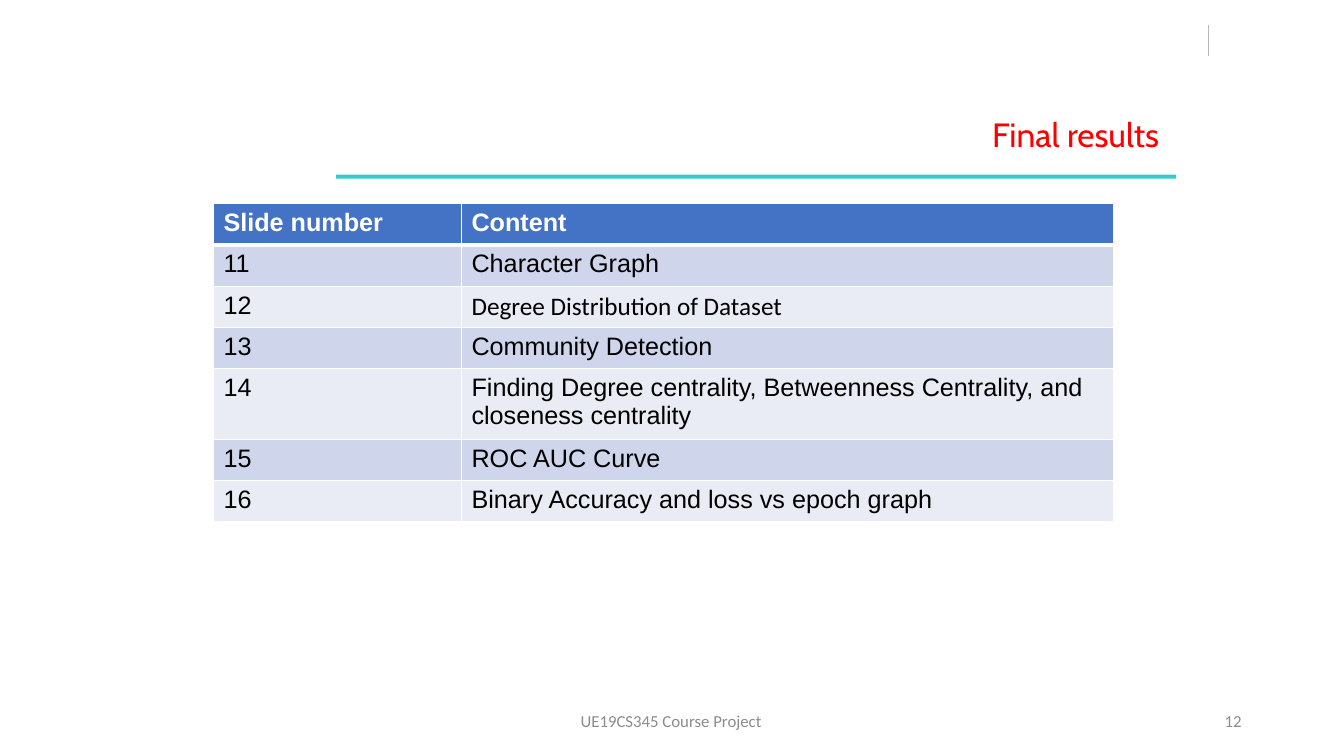
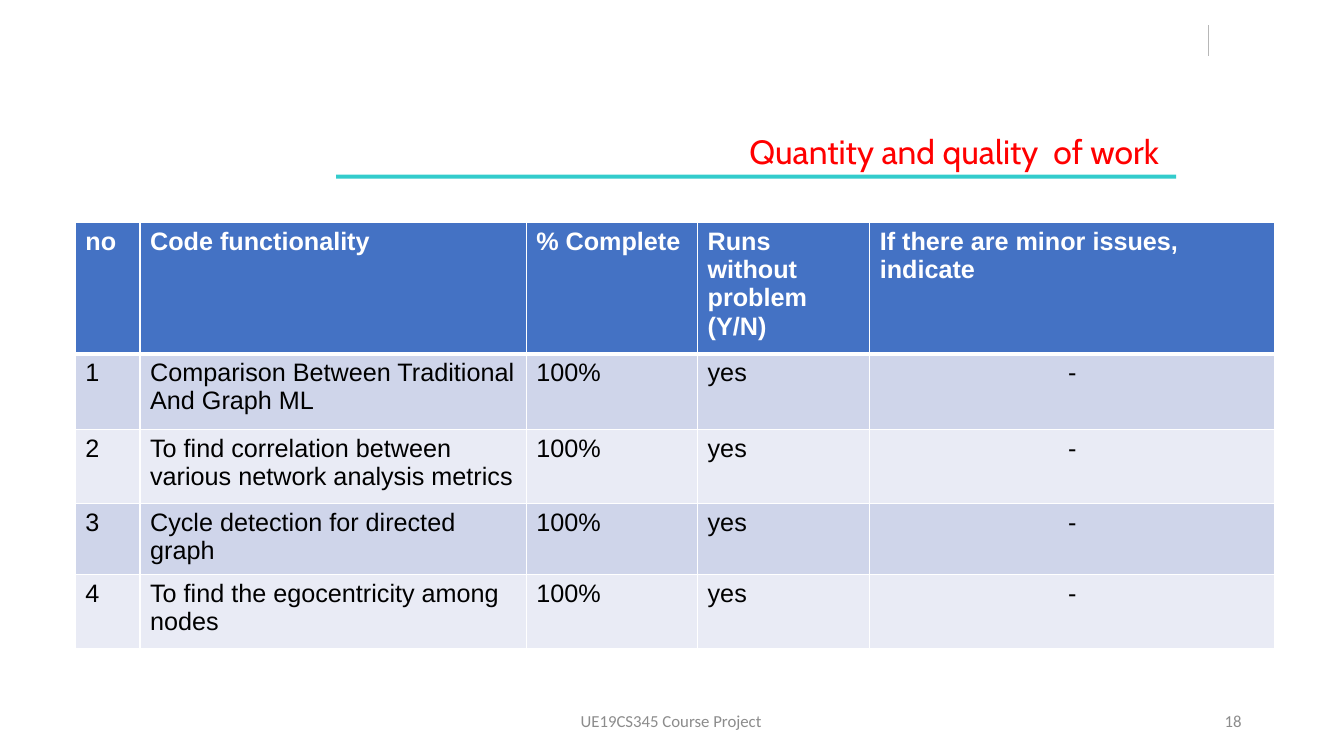
import pptx
import pptx.dml.color
import pptx.enum.shapes
import pptx.enum.text
import pptx.oxml
import pptx.oxml.ns
import pptx.util
from lxml import etree

Cm, Pt = pptx.util.Cm, pptx.util.Pt
ALIGN = pptx.enum.text.PP_ALIGN
ANCHOR = pptx.enum.text.MSO_ANCHOR

# Content
FOOTER = "UE19CS345 Course Project"
SLIDES = [
    {
        "title": "Final results", "top": 2.74, "number": 12,
        "at": (5.38, 5.13),
        "cols": [6.25, 16.43],
        "heights": [1.04, 1.04, 1.04, 1.04, 1.78, 1.04, 1.04],
        "rows": [
            ("Slide number", "Content"),
            ("11", "Character Graph"),
            ("12", "Degree Distribution of Dataset"),
            ("13", "Community Detection"),
            ("14", "Finding Degree centrality, Betweenness Centrality, "
                   "and closeness centrality"),
            ("15", "ROC AUC Curve"),
            ("16", "Binary Accuracy and loss vs epoch graph"),
        ],
        "fonts": {(2, 1): "Calibri"},
    },
    {
        "title": "Quantity and quality  of work", "top": 3.18, "number": 18,
        "at": (1.9, 5.61),
        "cols": [1.63, 9.73, 4.32, 4.34, 10.21],
        "heights": [3.28, 1.9, 1.88, 1.78, 1.88],
        "rows": [
            ("no", "Code functionality", "% Complete",
             "Runs without problem (Y/N)",
             "If there are minor issues, indicate"),
            ("1", "Comparison Between Traditional And Graph ML",
             "100%", "yes", "-"),
            ("2", "To find correlation between various network analysis metrics",
             "100%", "yes", "-"),
            ("3", "Cycle detection for directed graph", "100%", "yes", "-"),
            ("4", "To find the egocentricity among nodes", "100%", "yes", "-"),
        ],
        "fonts": {},
    },
]

# Shared style
COLORS = {
    "title": "FF0000", "rule": "33CCCC", "tick": "B7B7B7", "footer": "8C8C8C",
    "head": "4472C4", "odd": "CFD5EA", "even": "E9EBF5",
    "white": "FFFFFF", "black": "000000",
}


def color(name):
    return pptx.dml.color.RGBColor.from_string(COLORS[name])


def style(para, size, font, tone, bold=False, align=ALIGN.LEFT):
    para.alignment = align
    for run in para.runs:
        run.font.size = Pt(size)
        run.font.name = font
        run.font.bold = bold
        run.font.color.rgb = color(tone)


def label(slide, box, text, size, font, tone, align, anchor=ANCHOR.TOP):
    frame = slide.shapes.add_textbox(*map(Cm, box)).text_frame
    frame.word_wrap = True
    frame.vertical_anchor = anchor
    frame.text = text
    style(frame.paragraphs[0], size, font, tone, align=align)


def border(cell, widths):
    props = cell._tc.get_or_add_tcPr()
    for side, width in zip("LRTB", widths):
        line = etree.SubElement(props, pptx.oxml.ns.qn("a:ln" + side),
                                w=str(Pt(width)))
        fill = etree.SubElement(line, pptx.oxml.ns.qn("a:solidFill"))
        etree.SubElement(fill, pptx.oxml.ns.qn("a:srgbClr"),
                         val=COLORS["white"])


def frame_slide(slide, item):
    # Corner tick
    tick = slide.shapes.add_connector(
        pptx.enum.shapes.MSO_CONNECTOR.STRAIGHT,
        Cm(30.45), Cm(0.64), Cm(30.45), Cm(1.4))
    tick.line.color.rgb = color("tick")
    tick.line.width = Pt(0.75)
    etree.SubElement(tick._element.spPr, pptx.oxml.ns.qn("a:effectLst"))

    # Rule under the title
    rule = slide.shapes.add_shape(
        pptx.enum.shapes.MSO_SHAPE.RECTANGLE,
        Cm(8.47), Cm(4.4), Cm(21.17), Cm(0.1))
    rule.shadow.inherit = False
    rule.fill.solid()
    rule.fill.fore_color.rgb = color("rule")
    rule.line.fill.background()

    # Title, footer and slide number
    label(slide, (8.05, item["top"], 21.41, 1.28), item["title"],
          24, "Cabin", "title", ALIGN.RIGHT)
    for left, width, text, align in (
            (11.2, 11.43, FOOTER, ALIGN.CENTER),
            (23.92, 7.62, str(item["number"]), ALIGN.RIGHT)):
        label(slide, (left, 17.65, width, 1.01), text,
              12, "Calibri", "footer", align, ANCHOR.MIDDLE)


def add_grid(slide, item):
    rows, cols, heights = item["rows"], item["cols"], item["heights"]
    left, top = item["at"]
    grid = slide.shapes.add_table(
        len(rows), len(cols), Cm(left), Cm(top),
        Cm(sum(cols)), Cm(sum(heights))).table
    grid.first_row = grid.horz_banding = False
    for col, width in zip(grid.columns, cols):
        col.width = Cm(width)
    for r, texts in enumerate(rows):
        grid.rows[r].height = Cm(heights[r])
        head = r == 0
        tone = "head" if head else "odd" if r % 2 else "even"
        for c, text in enumerate(texts):
            cell = grid.cell(r, c)
            border(cell, (1, 1, 3 if r == 1 else 1, 3 if head else 1))
            cell.fill.solid()
            cell.fill.fore_color.rgb = color(tone)
            cell.text_frame.text = text
            style(cell.text_frame.paragraphs[0], 18,
                  item["fonts"].get((r, c), "Arial"),
                  "white" if head else "black", head,
                  ALIGN.CENTER if text == "-" else ALIGN.LEFT)


def main():
    deck = pptx.Presentation()
    deck.slide_width, deck.slide_height = Cm(33.87), Cm(19.05)
    for item in SLIDES:
        slide = deck.slides.add_slide(deck.slide_layouts[6])
        frame_slide(slide, item)
        add_grid(slide, item)
    deck.save("out.pptx")


if __name__ == "__main__":
    main()
